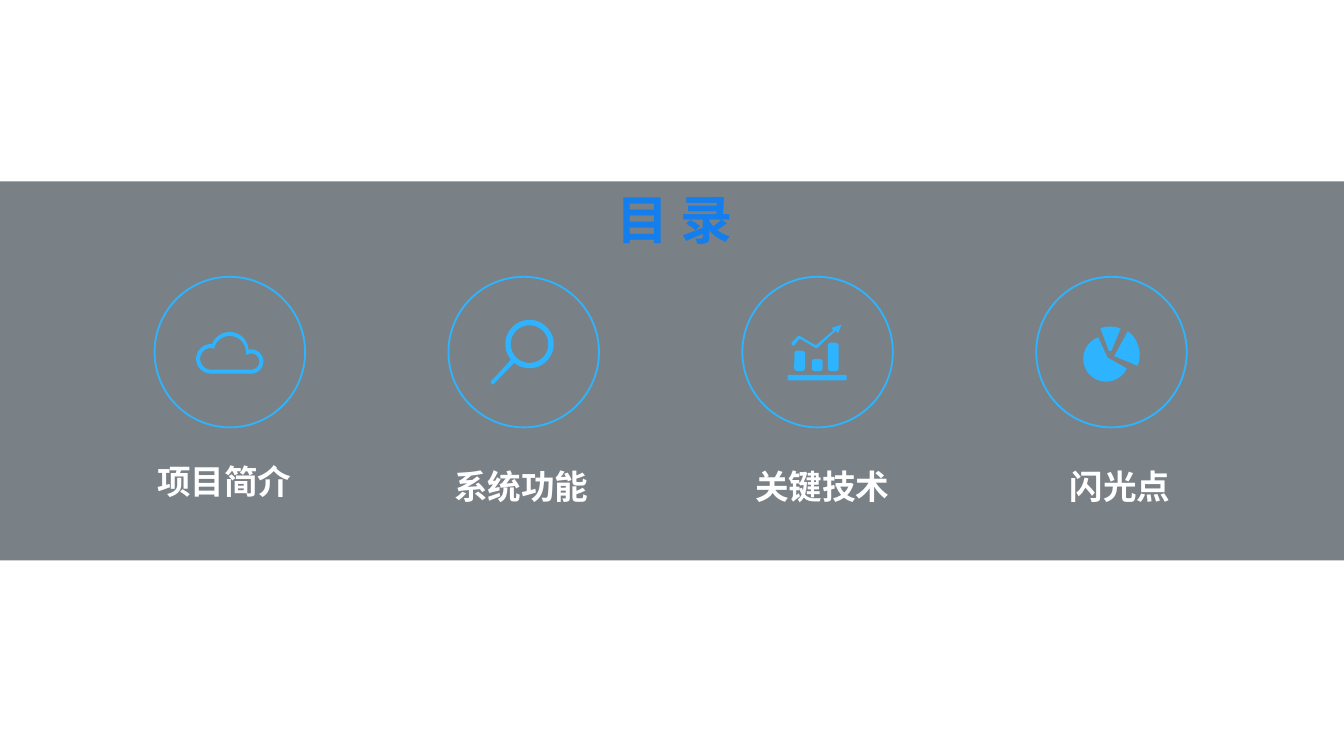
from dataclasses import dataclass
from math import cos, radians, sin

from lxml.etree import SubElement
from pptx import Presentation
from pptx.dml.color import RGBColor
from pptx.enum.shapes import MSO_SHAPE as Preset
from pptx.enum.text import MSO_ANCHOR as Anchor, MSO_AUTO_SIZE as AutoSize, PP_ALIGN as Align
from pptx.oxml.ns import qn
from pptx.shapes.autoshape import Shape
from pptx.slide import Slide
from pptx.text.text import TextFrame
from pptx.util import Inches, Pt

COLORS = {"band": "202C36", "accent": "2EB4FF", "label": "FFFFFF", "title": "137EEC"}
FONT = "Noto Sans CJK SC"
CIRCLE_LEFT, CIRCLE_TOP, CIRCLE_SIZE = 1.15, 2.06, 1.12
CIRCLE_STEP = (7.71 - CIRCLE_LEFT) / 3

Point = tuple[float, float]
Contour = list[Point]


@dataclass
class Frame:
    left: float
    top: float
    width: float
    height: float

    def lengths(self) -> list[int]:
        return [Inches(n) for n in (self.left, self.top, self.width, self.height)]


@dataclass
class Topic:
    text: str
    frame: Frame
    icon: list[list[Contour]]


def arc(x: float, y: float, radius: float, start: float, end: float) -> Contour:
    steps = max(8, round(abs(end - start) / 6))
    angles = [radians(start + (end - start) * i / steps) for i in range(steps + 1)]
    return [(x + radius * cos(a), y + radius * sin(a)) for a in angles]


CLOUD = [[
    arc(1.87, 2.69, 0.09, 90, -103) + arc(1.71, 2.61, 0.14, 0, -159)
    + arc(1.57, 2.67, 0.11, -90, -270),
    arc(1.87, 2.69, 0.06, 90, -112) + arc(1.71, 2.62, 0.12, 10, -161)
    + arc(1.57, 2.67, 0.08, -70, -270),
]]
MAGNIFIER = [[
    arc(3.94, 2.56, 0.18, 140, 489)
    + [(3.68, 2.85), (3.67, 2.86), (3.66, 2.86), (3.65, 2.84), (3.66, 2.83)],
    arc(3.94, 2.56, 0.14, 0, 360),
]]
TREND = [[[
    (5.91, 2.57), (5.95, 2.52), (6.07, 2.59), (6.08, 2.59), (6.22, 2.46),
    (6.23, 2.48), (6.24, 2.47), (6.26, 2.42), (6.25, 2.42), (6.19, 2.44),
    (6.2, 2.46), (6.07, 2.57), (5.95, 2.5), (5.94, 2.5), (5.89, 2.55), (5.89, 2.57),
]]]
PIE = [
    [[(8.25, 2.61), (8.27, 2.61)] + arc(8.26, 2.64, 0.21, -68, -110)],
    [[(8.29, 2.65)] + arc(8.26, 2.64, 0.22, -53, 22)],
    [[(8.24, 2.66)] + arc(8.23, 2.67, 0.17, 25, 250)],
]
BARS = [
    Frame(5.91, 2.61, 0.08, 0.15),
    Frame(6.04, 2.67, 0.08, 0.09),
    Frame(6.16, 2.55, 0.08, 0.21),
    Frame(5.86, 2.79, 0.44, 0.04),
]
TOPICS = [
    Topic("项目简介", Frame(1.07, 3.38, 1.22, 0.4), CLOUD),
    Topic("系统功能", Frame(3.28, 3.42, 1.21, 0.4), MAGNIFIER),
    Topic("关键技术", Frame(5.52, 3.42, 1.21, 0.4), TREND),
    Topic("闪光点", Frame(7.86, 3.42, 0.96, 0.4), PIE),
]


def color(name: str) -> RGBColor:
    return RGBColor.from_string(COLORS[name])


def paint(shape: Shape, name: str) -> None:
    shape.shadow.inherit = False
    shape.fill.solid()
    shape.fill.fore_color.rgb = color(name)
    shape.line.fill.background()


def add_filled(slide: Slide, preset: Preset, frame: Frame, name: str) -> Shape:
    shape = slide.shapes.add_shape(preset, *frame.lengths())
    paint(shape, name)
    return shape


def add_outline(slide: Slide, contours: list[Contour]) -> None:
    paths = [[(Inches(x), Inches(y)) for x, y in contour] for contour in contours]
    builder = slide.shapes.build_freeform(*paths[0][0])
    for index, points in enumerate(paths):
        if index:
            builder.move_to(*points[0])
        builder.add_line_segments(points[1:], close=True)
    paint(builder.convert_to_shape(), "accent")


def add_circle(slide: Slide, left: float) -> None:
    frame = Frame(left, CIRCLE_TOP, CIRCLE_SIZE, CIRCLE_SIZE)
    circle = slide.shapes.add_shape(Preset.OVAL, *frame.lengths())
    circle.shadow.inherit = False
    circle.fill.background()
    circle.line.color.rgb = color("accent")
    circle.line.width = Pt(1)


def write(text_frame: TextFrame, text: str, size: int, name: str) -> None:
    text_frame.word_wrap = False
    text_frame.auto_size = AutoSize.SHAPE_TO_FIT_TEXT
    text_frame.vertical_anchor = Anchor.TOP
    para = text_frame.paragraphs[0]
    para.alignment = Align.LEFT
    para.line_spacing = 1.0
    span = para.add_run()
    span.text = text
    span.font.size = Pt(size)
    span.font.bold = True
    span.font.name = FONT
    span.font.color.rgb = color(name)
    SubElement(span.font._element, qn("a:ea"), typeface=FONT)


def main() -> None:
    deck = Presentation()
    deck.slide_width = Inches(10)
    deck.slide_height = deck.slide_width * 9 // 16
    page = deck.slides.add_slide(deck.slide_layouts[5])

    band = add_filled(page, Preset.RECTANGLE, Frame(0, 1.35, 10, 2.82), "band")
    band_color = band.element.spPr.find(qn("a:solidFill")).find(qn("a:srgbClr"))
    SubElement(band_color, qn("a:alpha"), val="60000")

    title = page.shapes.title
    title.left, title.top, title.width, title.height = Frame(4.49, 1.34, 1.1, 0.57).lengths()
    write(title.text_frame, "目 录", 28, "title")
    title.element.addprevious(band.element)

    for index, topic in enumerate(TOPICS):
        add_circle(page, CIRCLE_LEFT + index * CIRCLE_STEP)
        for contours in topic.icon:
            add_outline(page, contours)
        box = page.shapes.add_textbox(*topic.frame.lengths())
        write(box.text_frame, topic.text, 18, "label")

    for frame in BARS:
        bar = add_filled(page, Preset.ROUNDED_RECTANGLE, frame, "accent")
        bar.adjustments[0] = 0.25

    deck.save("out.pptx")


if __name__ == "__main__":
    main()
